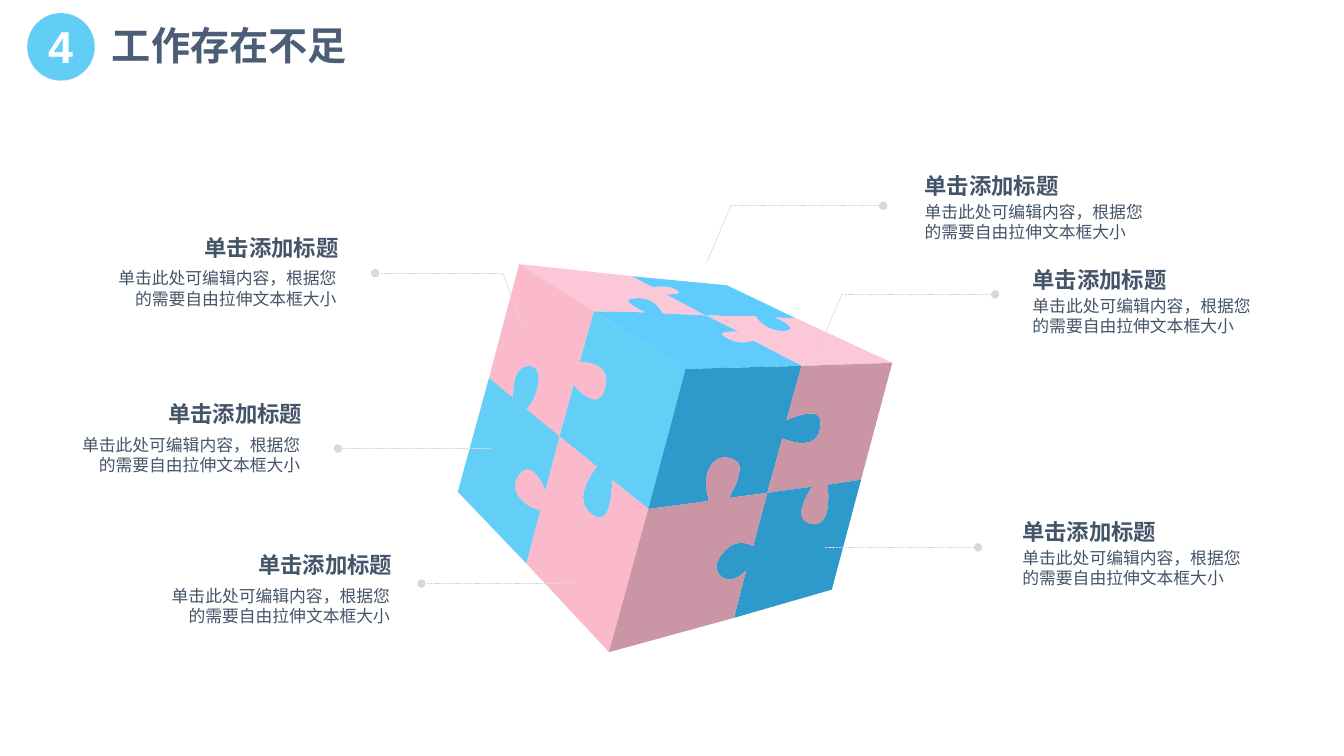
from dataclasses import dataclass

from lxml import etree
from pptx import Presentation
from pptx import util as u
from pptx.dml.color import RGBColor
from pptx.enum import dml, shapes, text
from pptx.oxml.ns import qn


@dataclass(frozen=True)
class Theme:
    font: str = "Arial"
    ink: str = "445469"
    heading: str = "4B5E75"
    white: str = "FFFFFF"
    badge: str = "00B0F0"
    badge_alpha: int = 61
    leader: str = "D9D9D9"
    leader_width: float = 0.5
    pink: str = "FBB9CC"
    pink_light: str = "FCC7D6"
    pink_dark: str = "CA95A4"
    blue: str = "63CFF6"
    blue_light: str = "60CCFD"
    blue_dark: str = "2E9ACB"
    number_size: int = 32
    title_size: int = 28
    label_size: int = 16
    body_size: int = 12


THEME = Theme()


def rgb(value):
    return RGBColor.from_string(value)


def curve(points, steps=8):
    """Points along a chain of cubic segments."""
    line = [points[0]]
    for i in range(0, len(points) - 1, 3):
        a, b, c, d = points[i:i + 4]
        for n in range(1, steps + 1):
            t = n / steps
            v = 1 - t
            line.append(tuple(v**3 * p + 3 * v * v * t * q + 3 * v * t * t * r + t**3 * w
                              for p, q, r, w in zip(a, b, c, d)))
    return line


class Deck:
    def __init__(self, theme):
        self.theme = theme
        self.prs = Presentation()
        self.prs.slide_width, self.prs.slide_height = u.Inches(13.33), u.Inches(7.5)
        self.s = self.prs.slides.add_slide(self.prs.slide_layouts[5])

    def set_words(self, sp, words, size, color, bold=False, align="LEFT", inset=(0.1, 0.05)):
        tf = sp.text_frame
        side, end = (u.Inches(v) for v in inset)
        frame = {"word_wrap": True, "auto_size": text.MSO_AUTO_SIZE.NONE,
                 "vertical_anchor": text.MSO_ANCHOR.TOP, "margin_left": side,
                 "margin_right": side, "margin_top": end, "margin_bottom": end}
        for name, value in frame.items():
            setattr(tf, name, value)
        p = tf.paragraphs[0]
        p.alignment = getattr(text.PP_ALIGN, align)
        r = p.add_run()
        r.text = words
        for name, value in {"name": self.theme.font, "size": u.Pt(size), "bold": bold}.items():
            setattr(r.font, name, value)
        r.font.color.rgb = rgb(color)
        # East Asian glyphs take the same font
        latin = r.font._element.find(qn("a:latin"))
        ea = etree.Element(qn("a:ea"), typeface=self.theme.font)
        latin.addnext(ea)

    def title(self, box, words):
        sp = self.s.shapes.title
        for name, value in zip(("left", "top", "width", "height"), box):
            setattr(sp, name, u.Inches(value))
        self.set_words(sp, words, self.theme.title_size, self.theme.heading, True)

    def text(self, box, words, size, color, **style):
        sp = self.s.shapes.add_textbox(*map(u.Inches, box))
        self.set_words(sp, words, size, color, **style)

    def badge(self, box):
        sp = self.s.shapes.add_shape(shapes.MSO_SHAPE.OVAL, *map(u.Inches, box))
        self.paint(sp, self.theme.badge)
        color = sp._element.spPr.find(qn("a:solidFill"))[0]
        etree.SubElement(color, qn("a:alpha"), val=str(self.theme.badge_alpha * 1000))

    def paint(self, sp, color):
        sp.shadow.inherit = False
        sp.fill.solid()
        sp.fill.fore_color.rgb = rgb(color)
        sp.line.fill.background()

    def outline(self, points, color):
        points = [(u.Inches(x), u.Inches(y)) for x, y in points]
        builder = self.s.shapes.build_freeform(*points[0], scale=1.0)
        builder.add_line_segments(points[1:], close=True)
        self.paint(builder.convert_to_shape(), color)

    def face(self, corners, mids, centre, seams, colors):
        """Four pieces; seam i runs from side middle i to the centre."""
        lines = [curve(seam) for seam in seams]
        for i, corner in enumerate(corners):
            piece = [corner, mids[i], *lines[i], centre, *reversed(lines[i - 1]), mids[i - 1]]
            self.outline(piece, colors[i % 2])

    def leader(self, points):
        for start, end in zip(points, points[1:]):
            sp = self.s.shapes.add_connector(shapes.MSO_CONNECTOR.STRAIGHT,
                                             *map(u.Inches, start + end))
            sp.line.color.rgb = rgb(self.theme.leader)
            sp.line.width = u.Pt(self.theme.leader_width)
            sp.line.dash_style = dml.MSO_LINE.SQUARE_DOT
            pr = sp._element.spPr
            if end == points[-1]:
                etree.SubElement(pr.find(qn("a:ln")), qn("a:tailEnd"), type="oval")
            etree.SubElement(pr, qn("a:effectLst"))

    def callout(self, align, left, top, points):
        shift, drop = (-0.09, 0.34) if align == "RIGHT" else (0, 0.29)
        self.leader(points)
        self.text((left, top, 2.14, 0.27), "单击添加标题", self.theme.label_size,
                  self.theme.ink, bold=True, align=align, inset=(0, 0))
        self.text((left + shift, top + drop, 2.21, 0.4),
                  "单击此处可编辑内容，根据您的需要自由拉伸文本框大小",
                  self.theme.body_size, self.theme.ink, align=align, inset=(0, 0))


# Cube vertices and the middles of shared edges
BACK_LEFT, BACK_RIGHT, FRONT, RIGHT = (5.15, 2.62), (7.21, 2.83), (6.8, 3.66), (8.85, 3.6)
LOW_LEFT, LOW_FRONT, LOW_RIGHT = (4.54, 4.88), (6.04, 6.47), (8.25, 5.85)
MID_LEFT, MID_FRONT, MID_RIGHT = (5.89, 3.09), (6.43, 5.05), (7.95, 3.63)

# Faces: corners and side middles clockwise, centre, seams (top, right, bottom, left), colours
FACES = [
    ((BACK_LEFT, BACK_RIGHT, RIGHT, FRONT),
     ((6.27, 2.74), (7.9, 3.16), MID_RIGHT, MID_LEFT), (7, 3.13),
     (((6.48, 2.85), (6.53, 2.84), (6.67, 2.83), (6.73, 2.89),
       (6.76, 2.92), (6.67, 2.92), (6.61, 2.92)),
      ((7.69, 3.15), (7.78, 3.19), (7.9, 3.26), (7.81, 3.28),
       (7.69, 3.31), (7.53, 3.22), (7.5, 3.14)),
      ((7.47, 3.38), (7.41, 3.4), (7.31, 3.42), (7.2, 3.35),
       (7.09, 3.29), (7.22, 3.29), (7.32, 3.29)),
      ((6.41, 3.1), (6.32, 3.06), (6.14, 2.97), (6.29, 2.96),
       (6.46, 2.94), (6.54, 3.05), (6.57, 3.11))),
     (THEME.pink_light, THEME.blue_light)),
    ((BACK_LEFT, FRONT, LOW_FRONT, LOW_LEFT),
     (MID_LEFT, MID_FRONT, (5.22, 5.59), (4.85, 3.75)), (5.55, 4.33),
     (((5.75, 3.59), (5.86, 3.59), (6.07, 3.62), (6, 3.86),
       (5.95, 4.06), (5.78, 3.93), (5.69, 3.82)),
      ((6.07, 4.76), (6.07, 4.95), (6.04, 5.22), (5.88, 5.11),
       (5.68, 4.98), (5.84, 4.73), (5.92, 4.63)),
      ((5.36, 5.06), (5.25, 5.06), (5.02, 4.89), (5.14, 4.72),
       (5.25, 4.55), (5.37, 4.76), (5.41, 4.86)),
      ((5.09, 3.95), (5.09, 3.86), (5.09, 3.63), (5.25, 3.63),
       (5.42, 3.64), (5.32, 3.97), (5.22, 4.06))),
     (THEME.pink, THEME.blue)),
    ((FRONT, RIGHT, LOW_RIGHT, LOW_FRONT),
     (MID_RIGHT, (8.54, 4.76), (7.28, 6.13), MID_FRONT), (7.61, 4.89),
     (((7.8, 4.17), (7.92, 4.12), (8.17, 4.02), (8.14, 4.23),
       (8.11, 4.47), (7.87, 4.39), (7.76, 4.35)),
      ((8.21, 4.81), (8.22, 4.95), (8.24, 5.24), (8.04, 5.2),
       (7.86, 5.16), (7.98, 4.94), (8.05, 4.83)),
      ((7.4, 5.66), (7.24, 5.85), (7.01, 5.7), (7.15, 5.51),
       (7.28, 5.33), (7.42, 5.39), (7.47, 5.42)),
      ((7.03, 4.97), (7.02, 4.92), (6.99, 4.8), (7.01, 4.72),
       (7.02, 4.65), (7.09, 4.51), (7.22, 4.54), (7.37, 4.57), (7.34, 4.66),
       (7.32, 4.74), (7.31, 4.8), (7.25, 4.9), (7.23, 4.94))),
     (THEME.blue_dark, THEME.pink_dark)),
]

# Callouts: alignment, left, top, leader points ending at the dot
CALLOUTS = [
    ("LEFT", 9.17, 1.71, ((7.01, 2.6), (7.25, 2.04), (8.76, 2.04))),
    ("LEFT", 10.24, 2.64, ((8.11, 3.48), (8.35, 2.92), (9.87, 2.92))),
    ("LEFT", 10.14, 5.14, ((8.18, 5.43), (9.7, 5.43))),
    ("RIGHT", 1.22, 2.32, ((5.19, 3.27), (4.99, 2.71), (3.72, 2.71))),
    ("RIGHT", 0.86, 3.97, ((4.87, 4.45), (3.35, 4.45))),
    ("RIGHT", 1.75, 5.47, ((5.7, 5.79), (4.18, 5.79))),
]


def main():
    deck = Deck(THEME)
    # Heading
    deck.title((1.01, 0.16, 3.64, 0.57), "工作存在不足")
    deck.badge((0.27, 0.13, 0.67, 0.67))
    deck.text((0.34, 0.14, 0.52, 0.64), "4", THEME.number_size, THEME.white,
              bold=True, align="CENTER")
    # Puzzle cube
    for face in FACES:
        deck.face(*face)
    # Callouts
    for callout in CALLOUTS:
        deck.callout(*callout)
    deck.prs.save("out.pptx")


if __name__ == "__main__":
    main()
